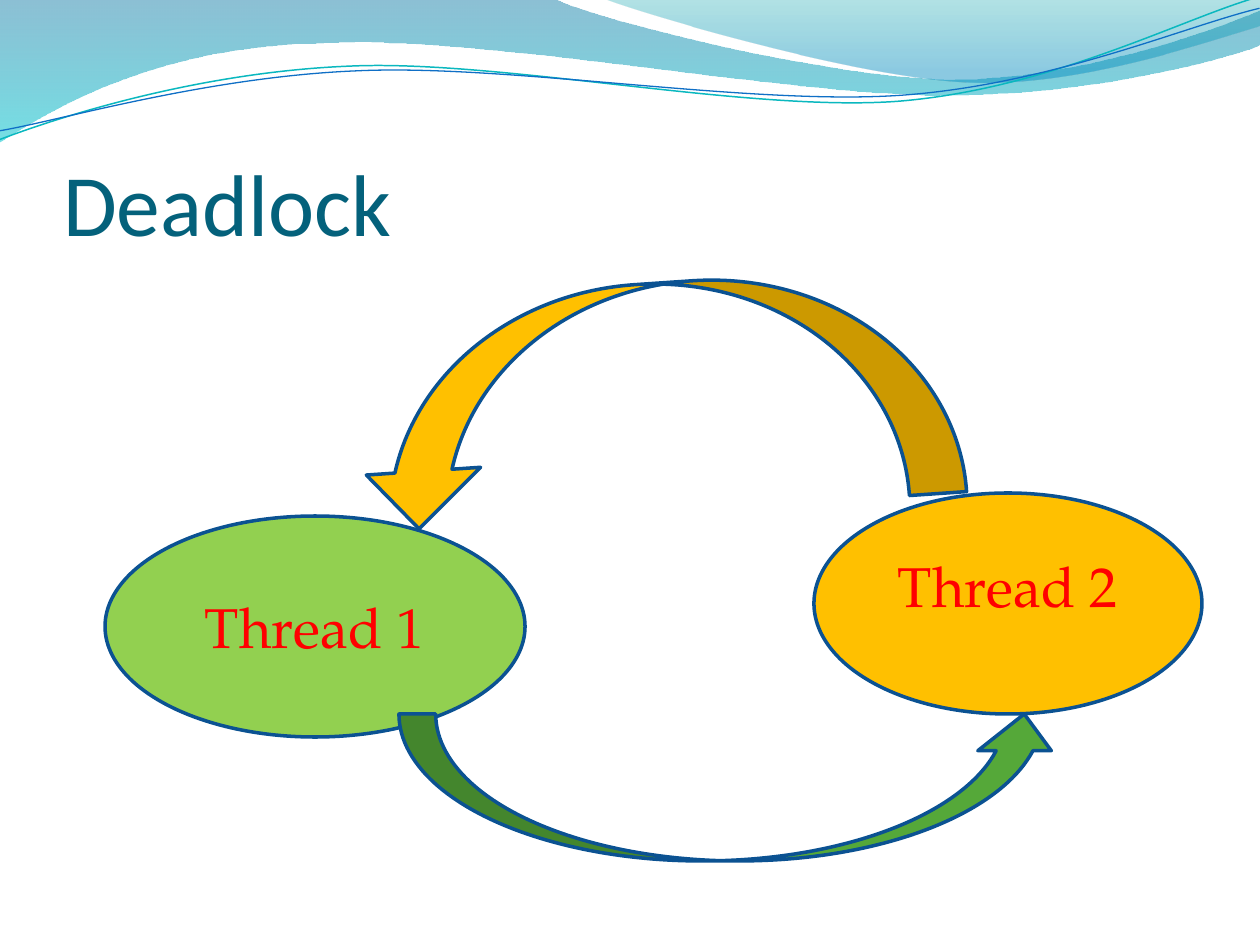
from dataclasses import dataclass

import pptx
import pptx.dml.color
import pptx.enum.shapes
import pptx.enum.text
import pptx.oxml.ns
import pptx.util
from lxml import etree

RGBColor = pptx.dml.color.RGBColor
Geometry = pptx.enum.shapes.MSO_SHAPE
qn = pptx.oxml.ns.qn

PX = 914400 / 126

DEEP_BLUE = RGBColor(0x00, 0x74, 0xA1)
AQUA = RGBColor(0x00, 0xC6, 0xCF)
TEAL = RGBColor(0x00, 0xA1, 0xA9)
AZURE = RGBColor(0x00, 0x8B, 0xBF)
WAVE_TEAL = RGBColor(0x0A, 0xB8, 0xBF)
WAVE_BLUE = RGBColor(0x0F, 0x6F, 0xC6)
TITLE_BLUE = RGBColor(0x04, 0x61, 0x7B)
OUTLINE = RGBColor(0x0B, 0x52, 0x92)
LIME = RGBColor(0x92, 0xD0, 0x50)
AMBER = RGBColor(0xFF, 0xC0, 0x00)
GREEN = RGBColor(0x55, 0xA8, 0x39)
RED = RGBColor(0xFF, 0x00, 0x00)


@dataclass(frozen=True)
class Stop:
    position: float
    color: RGBColor
    opacity: int


@dataclass(frozen=True)
class Band:
    start: tuple
    segments: tuple
    stops: tuple


@dataclass(frozen=True)
class Wave:
    start: tuple
    segments: tuple
    color: RGBColor
    weight: float
    rotation: float = 357.3


@dataclass(frozen=True)
class Figure:
    geometry: Geometry
    box: tuple
    fill: RGBColor
    label: str = ""
    rotation: float = 0
    bottom_inset: int = 6


BANDS = (
    Band(
        (0, 0),
        (
            (554, -1),
            (600, 21, 837, 79, 955, 79),
            (1075, 79, 1207, 33, 1260, 11),
            (1261, 45),
            (1239, 55, 1096, 96, 940, 95),
            (784, 95, 481, 35, 324, 43),
            (163, 45, 58, 105, -1, 142),
        ),
        (Stop(0, DEEP_BLUE, 45), Stop(1, AQUA, 55)),
    ),
    Band(
        (604, -1),
        (
            (641, 14, 859, 78, 969, 82),
            (1079, 87, 1211, 40, 1260, 26),
            (1260, 0),
        ),
        (Stop(0, TEAL, 30), Stop(0.8, AZURE, 45)),
    ),
)

WAVES = (
    Wave(
        (-3, 110),
        (
            (58, 90, 199, 52, 350, 53),
            (499, 53, 745, 118, 896, 114),
            (1049, 109, 1184, 45, 1260, 27),
        ),
        WAVE_TEAL,
        0.85,
    ),
    Wave(
        (-2, 101),
        (
            (57, 94, 207, 57, 357, 58),
            (509, 58, 750, 112, 902, 108),
            (1052, 104, 1188, 52, 1262, 38),
        ),
        WAVE_BLUE,
        0.75,
    ),
)

FIGURES = (
    Figure(Geometry.OVAL, (105, 516, 420, 221), LIME, "Thread 1"),
    Figure(Geometry.OVAL, (814, 493, 388, 221), AMBER, "Thread 2", bottom_inset=43),
    Figure(Geometry.CURVED_RIGHT_ARROW, (542, 95, 229, 606), AMBER, rotation=86.1),
    Figure(Geometry.CURVED_UP_ARROW, (399, 714, 662, 147), GREEN),
)


def emu(px: float) -> int:
    return round(px * PX)


def draw_outline(slide, start: tuple, segments: tuple, close: bool):
    points = [pair for segment in segments
              for pair in zip(segment[::2], segment[1::2])]
    builder = slide.shapes.build_freeform(*start, scale=PX)
    builder.add_line_segments(points, close=close)
    outline = builder.convert_to_shape()
    outline.shadow.inherit = False
    vertices = iter(list(outline._element.spPr.iter(qn("a:lnTo"))))
    for segment in segments:
        vertex = next(vertices)
        if len(segment) == 6:
            curve = etree.Element(qn("a:cubicBezTo"))
            vertex.addprevious(curve)
            for control in (vertex, next(vertices), next(vertices)):
                curve.append(control[0])
                control.getparent().remove(control)
    return outline


def draw_band(slide, band: Band) -> None:
    surface = draw_outline(slide, band.start, band.segments, True)
    surface.line.fill.background()
    surface.fill.gradient()
    surface.fill.gradient_angle = 270
    for target, stop in zip(surface.fill.gradient_stops, band.stops):
        target.position = stop.position
        target.color.rgb = stop.color
    colors = surface._element.spPr.iter(qn("a:srgbClr"))
    for color, stop in zip(colors, band.stops):
        alpha = etree.SubElement(color, qn("a:alpha"))
        alpha.set("val", str(stop.opacity * 1000))


def draw_wave(slide, wave: Wave) -> None:
    ripple = draw_outline(slide, wave.start, wave.segments, False)
    ripple.rotation = wave.rotation
    ripple.fill.background()
    ripple.line.color.rgb = wave.color
    ripple.line.width = pptx.util.Pt(wave.weight)


def draw_figure(slide, figure: Figure) -> None:
    body = slide.shapes.add_shape(figure.geometry, *map(emu, figure.box))
    body.rotation = figure.rotation
    body.shadow.inherit = False
    body.fill.solid()
    body.fill.fore_color.rgb = figure.fill
    body.line.color.rgb = OUTLINE
    body.line.width = pptx.util.Pt(2)
    if figure.label:
        frame = body.text_frame
        frame.margin_bottom = emu(figure.bottom_inset)
        frame.vertical_anchor = pptx.enum.text.MSO_ANCHOR.MIDDLE
        write(frame, figure.label, "TeX Gyre Pagella", 32, RED,
              pptx.enum.text.PP_ALIGN.CENTER)


def write(frame, text: str, font: str, size: int, color: RGBColor, align) -> None:
    frame.text = text
    paragraph = frame.paragraphs[0]
    paragraph.alignment = align
    paragraph.font.name = font
    paragraph.font.size = pptx.util.Pt(size)
    paragraph.font.color.rgb = color


def place_title(slide, text: str) -> None:
    heading = slide.shapes.title
    heading.left, heading.top, heading.width, heading.height = map(
        emu, (63, 97, 1134, 157))
    frame = heading.text_frame
    frame.margin_left = frame.margin_right = frame.margin_bottom = 0
    frame.margin_top = emu(6)
    frame.vertical_anchor = pptx.enum.text.MSO_ANCHOR.BOTTOM
    write(frame, text, "Calibri", 50, TITLE_BLUE, pptx.enum.text.PP_ALIGN.LEFT)


def main() -> None:
    deck = pptx.Presentation()
    deck.slide_width, deck.slide_height = emu(1260), emu(945)
    slide = deck.slides.add_slide(deck.slide_layouts[5])
    for band in BANDS:
        draw_band(slide, band)
    for wave in WAVES:
        draw_wave(slide, wave)
    place_title(slide, "Deadlock")
    for figure in FIGURES:
        draw_figure(slide, figure)
    deck.save("out.pptx")


if __name__ == "__main__":
    main()
